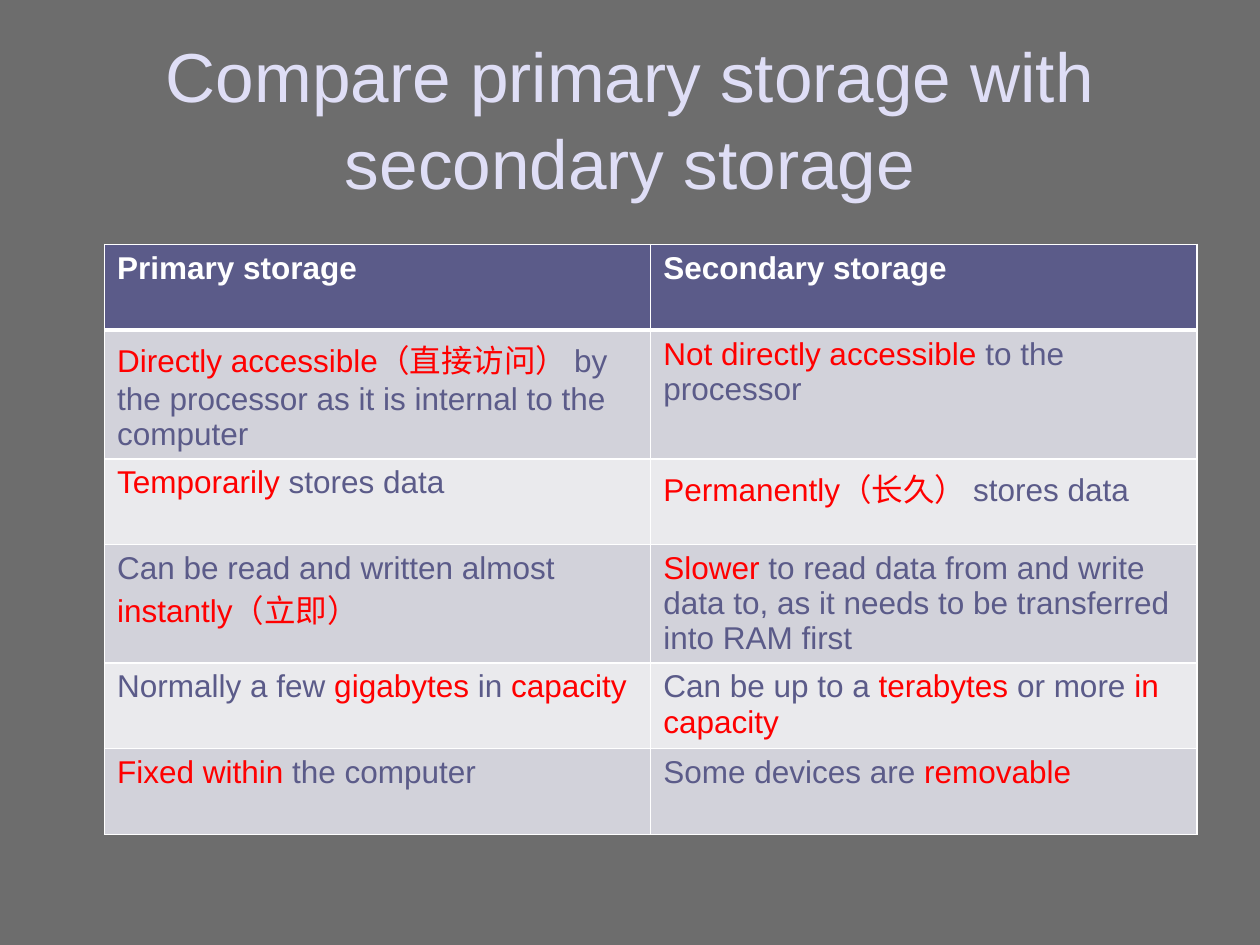
from pptx import Presentation
from pptx.dml.color import RGBColor
from pptx.enum.text import MSO_ANCHOR, PP_ALIGN
from pptx.oxml import parse_xml
from pptx.oxml.ns import nsdecls
from pptx.util import Inches, Pt

BODY, RED, WHITE = "5B5B89", "FF0000", "FFFFFF"
HEADER_FILL, BAND_FILLS = "5B5B89", ("EAEAED", "D2D2DA")

# Words between asterisks are highlighted in red
COMPARISON = [
    ("Primary storage ", "Secondary storage"),
    ("*Directly accessible（直接访问） *by the processor as it is internal to the computer",
     "*Not directly accessible *to the processor "),
    ("*Temporarily* stores data", "*Permanently（长久）* stores data "),
    ("Can be read and written almost *instantly（立即） *",
     "*Slower *to read data from and write data to, as it needs to be transferred into RAM first"),
    ("Normally a few *gigabytes* in *capacity*",
     "Can be up to a *terabytes* or more *in capacity *"),
    ("*Fixed within *the computer", "Some devices are *removable*"),
]


def color(hex_code):
    return RGBColor.from_string(hex_code)


def add_words(paragraph, words, hex_code, **font_format):
    run = paragraph.add_run()
    run.text = words
    run.font.color.rgb = color(hex_code)
    for key, value in font_format.items():
        setattr(run.font, key, value)


prs = Presentation()
prs.slide_width, prs.slide_height = Inches(10), Inches(7.5)
slide = prs.slides.add_slide(prs.slide_layouts[5])
slide.background.fill.solid()
slide.background.fill.fore_color.rgb = color("6D6D6D")

# Title
title = slide.shapes.title
title_box = {"left": 0.5, "top": 0.3, "width": 9, "height": 1.25}
for key, value in title_box.items():
    setattr(title, key, Inches(value))
title.text_frame.word_wrap = True
title.text_frame.vertical_anchor = MSO_ANCHOR.MIDDLE
heading = title.text_frame.paragraphs[0]
heading.alignment = PP_ALIGN.CENTER
heading.line_spacing = 1.04
add_words(heading, "Compare primary storage with secondary storage", "DFDEF6",
          size=Pt(39.6), name="Arial")

# Comparison table
row_height = 0.68
comparison = slide.shapes.add_table(
    len(COMPARISON), 2, Inches(0.83), Inches(1.94),
    Inches(8.67), Inches(row_height * len(COMPARISON))).table
for row, texts in enumerate(COMPARISON):
    comparison.rows[row].height = Inches(row_height)
    is_header = row == 0
    for column, text in enumerate(texts):
        cell = comparison.cell(row, column)
        paragraph = cell.text_frame.paragraphs[0]
        for part, words in enumerate(text.split("*")):
            if words:
                plain = WHITE if is_header else BODY
                add_words(paragraph, words, RED if part % 2 else plain,
                          size=Pt(18), name="Arial", bold=is_header)
        cell.fill.solid()
        cell.fill.fore_color.rgb = color(HEADER_FILL if is_header else BAND_FILLS[row % 2])

        # White borders, thicker between header and body
        widths = {"L": 1, "R": 1, "T": 3 if row == 1 else 1, "B": 3 if is_header else 1}
        properties = cell._tc.get_or_add_tcPr()
        for position, (side, width) in enumerate(widths.items()):
            properties.insert(position, parse_xml(
                f'<a:ln{side} {nsdecls("a")} w="{Pt(width)}"><a:solidFill>'
                f'<a:srgbClr val="{WHITE}"/></a:solidFill></a:ln{side}>'))

prs.save("out.pptx")
